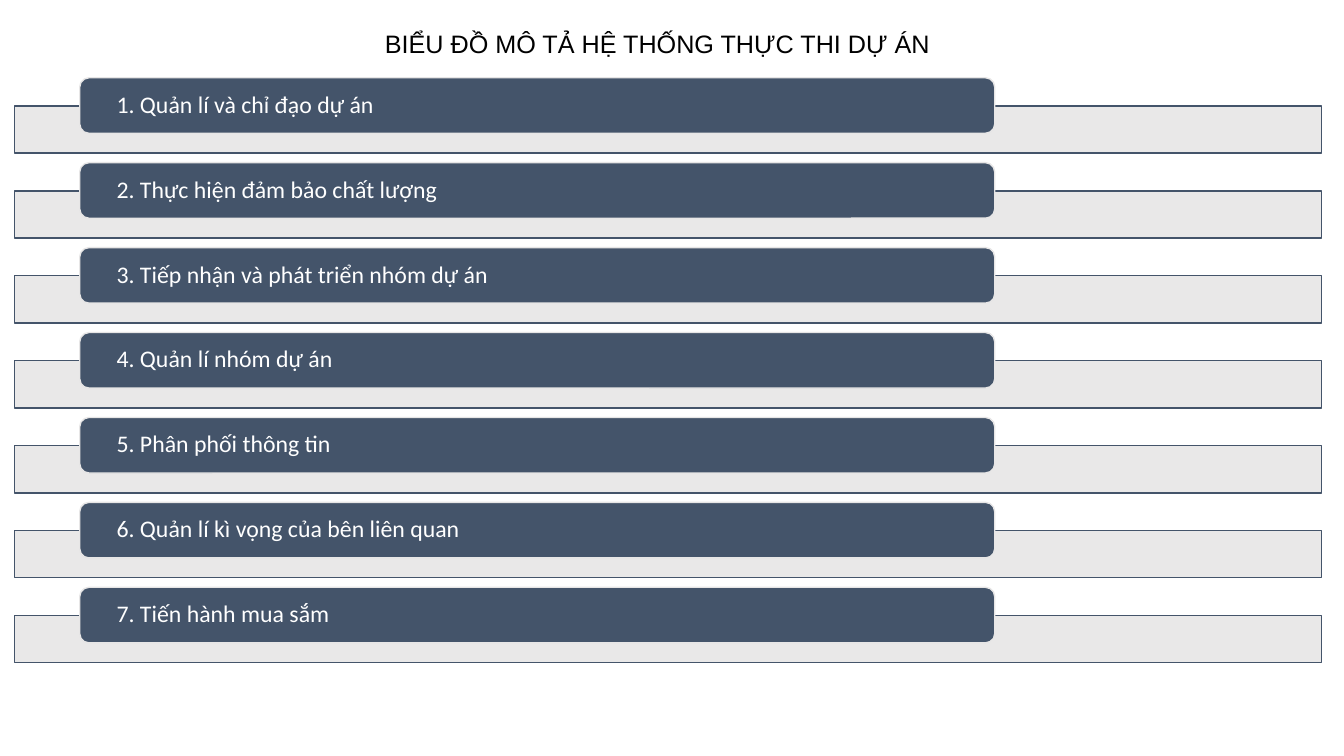
"""Build a slide that lists the seven steps of the project execution system."""
import pptx
import pptx.dml.color
import pptx.enum.shapes
import pptx.enum.text
import pptx.oxml
import pptx.oxml.ns
import pptx.util
from pptx.util import Cm

HEADING = "BIỂU ĐỒ MÔ TẢ HỆ THỐNG THỰC THI DỰ ÁN"
STEPS = [
    "1. Quản lí và chỉ đạo dự án",
    "2. Thực hiện đảm bảo chất lượng",
    "3. Tiếp nhận và phát triển nhóm dự án",
    "4. Quản lí nhóm dự án",
    "5. Phân phối thông tin",
    "6. Quản lí kì vọng của bên liên quan",
    "7. Tiến hành mua sắm",
]
THEME = {
    "navy": "44546A", "grey": "E7E6E6", "white": "FFFFFF", "black": "000000",
    "heading_font": "Arial", "heading_size": 18,
    "step_font": "Calibri", "step_size": 17,
    "line_width": 1, "strip_opacity": 90,
}
HEADING_BOX = (9.45, 0.58, 14.43, 1.02)
STRIP = (0.36, 2.67, 32.94, 1.19)
BAR = (2.01, 1.96, 23.06, 1.4)
STEP_PITCH = 2.14
BAR_INSET = 0.86


def theme_color(name):
    return pptx.dml.color.RGBColor.from_string(THEME[name])


def add_panel(slide, preset, box, row, fill, line):
    left, top, width, height = box
    panel = slide.shapes.add_shape(
        preset, Cm(left), Cm(top + row * STEP_PITCH), Cm(width), Cm(height))
    panel.shadow.inherit = False
    panel.fill.solid()
    panel.fill.fore_color.rgb = theme_color(fill)
    panel.line.color.rgb = theme_color(line)
    panel.line.width = pptx.util.Pt(THEME["line_width"])
    return panel


def set_opacity(panel, percent):
    color = panel.fill._xPr.find(".//" + pptx.oxml.ns.qn("a:srgbClr"))
    alpha = pptx.oxml.parse_xml(
        f'<a:alpha {pptx.oxml.ns.nsdecls("a")} val="{percent * 1000}"/>')
    color.append(alpha)


def write(paragraph, text, role, color):
    run = paragraph.add_run()
    run.text = text
    run.font.name = THEME[role + "_font"]
    run.font.size = pptx.util.Pt(THEME[role + "_size"])
    run.font.color.rgb = theme_color(color)


def add_step(slide, row, step):
    presets = pptx.enum.shapes.MSO_SHAPE
    strip = add_panel(slide, presets.RECTANGLE, STRIP, row, "grey", "navy")
    set_opacity(strip, THEME["strip_opacity"])
    bar = add_panel(slide, presets.ROUNDED_RECTANGLE, BAR, row, "navy", "grey")
    frame = bar.text_frame
    frame.word_wrap = True
    frame.vertical_anchor = pptx.enum.text.MSO_ANCHOR.MIDDLE
    frame.margin_left = frame.margin_right = Cm(BAR_INSET)
    frame.margin_top = frame.margin_bottom = 0
    paragraph = frame.paragraphs[0]
    paragraph.alignment = pptx.enum.text.PP_ALIGN.LEFT
    paragraph.line_spacing = 0.9
    write(paragraph, step, "step", "white")


def add_heading(slide):
    frame = slide.shapes.add_textbox(*map(Cm, HEADING_BOX)).text_frame
    frame.word_wrap = True
    frame.auto_size = pptx.enum.text.MSO_AUTO_SIZE.SHAPE_TO_FIT_TEXT
    write(frame.paragraphs[0], HEADING, "heading", "black")


def main():
    deck = pptx.Presentation()
    deck.slide_width, deck.slide_height = Cm(33.87), Cm(19.05)
    slide = deck.slides.add_slide(deck.slide_layouts[6])
    for row, step in enumerate(STEPS):
        add_step(slide, row, step)
    add_heading(slide)
    deck.save("out.pptx")


if __name__ == "__main__":
    main()
